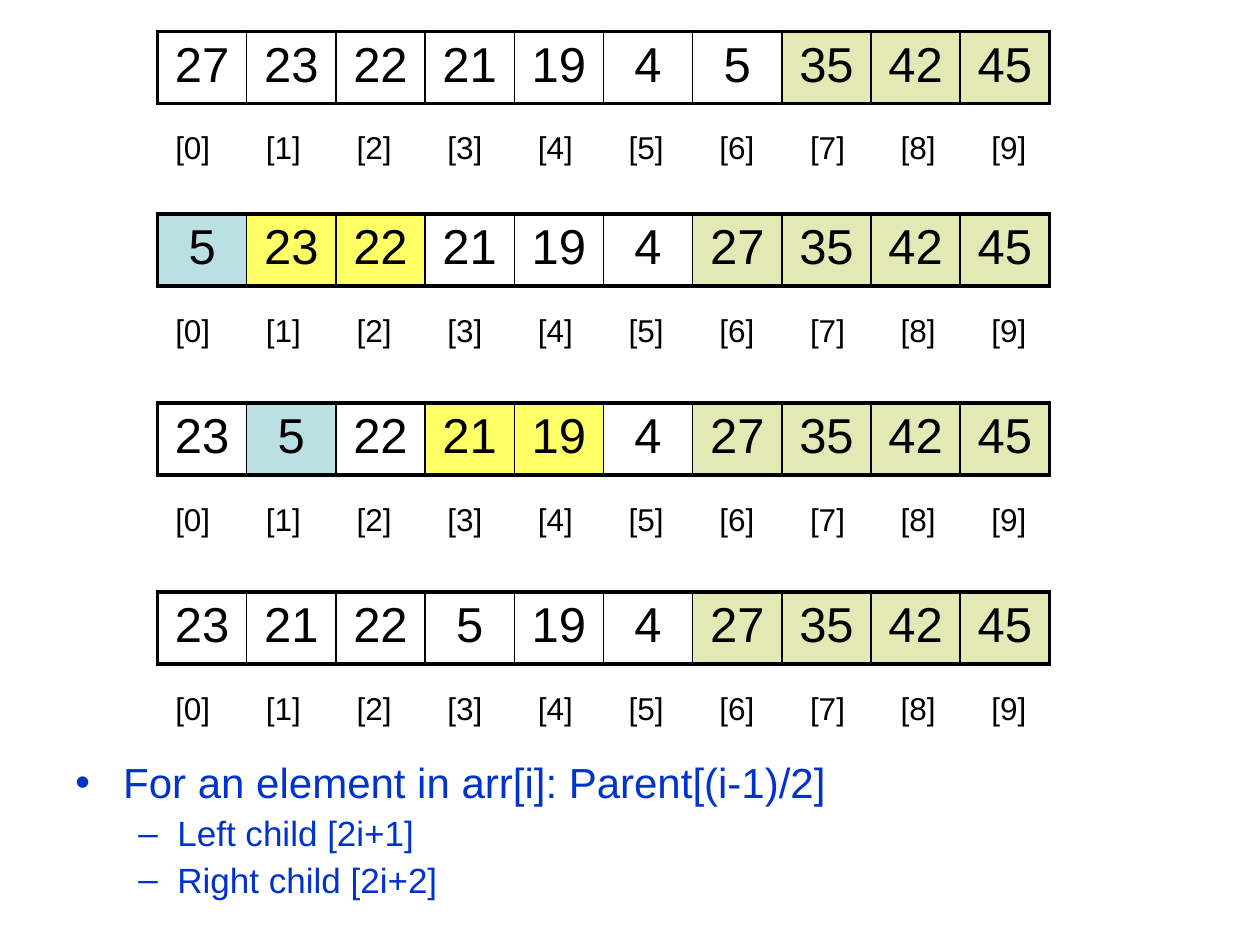
"""Build a slide that traces heap sort on an array of ten numbers."""
import pptx
import pptx.dml.color
import pptx.enum.text
import pptx.oxml
import pptx.oxml.ns
import pptx.util
from lxml import etree

Inches, Pt = pptx.util.Inches, pptx.util.Pt
RGB = pptx.dml.color.RGBColor.from_string
qn = pptx.oxml.ns.qn
align = pptx.enum.text.PP_ALIGN
anchor = pptx.enum.text.MSO_ANCHOR

colors = {
    "ink": "000000",
    "blue": "0033CC",
    "sorted": "E2E9B5",
    "moved": "BBE0E3",
    "child": "FFFF66",
}


def style(font, size, color):
    values = {"name": "Arial", "size": Pt(size), "bold": False}
    for key, value in values.items():
        setattr(font, key, value)
    font.color.rgb = RGB(colors[color])


def grid(place, texts, size, fills, edges, middle):
    table = slide.shapes.add_table(1, len(texts), *map(Inches, place)).table
    table.first_row = table.horz_banding = False
    last = len(texts) - 1
    for col, text in enumerate(texts):
        cell = table.cell(0, col)
        cell.text = str(text)
        cell.vertical_anchor = anchor.MIDDLE if middle else anchor.TOP
        para = cell.text_frame.paragraphs[0]
        para.alignment = align.CENTER
        style(para.runs[0].font, size, "ink")
        props = cell._tc.get_or_add_tcPr()
        sides = {
            "lnL": 2.25 if col == 0 else 1,
            "lnR": 2.25 if col == last else 1,
            "lnT": 2.25,
            "lnB": 2.25,
        }
        for side, width in sides.items():
            line = etree.SubElement(props, qn("a:" + side))
            if edges:
                line.set("w", str(Pt(width)))
                paint = etree.SubElement(line, qn("a:solidFill"))
                etree.SubElement(paint, qn("a:srgbClr"), val=colors["ink"])
            else:
                etree.SubElement(line, qn("a:noFill"))
        if col in fills:
            cell.fill.solid()
            cell.fill.fore_color.rgb = RGB(colors[fills[col]])
        else:
            cell.fill.background()


deck = pptx.Presentation()
deck.slide_width, deck.slide_height = Inches(10), Inches(7.5)
slide = deck.slides.add_slide(deck.slide_layouts[6])

steps = [
    (0.25, [27, 23, 22, 21, 19, 4, 5, 35, 42, 45], 7, {}),
    (1.7, [5, 23, 22, 21, 19, 4, 27, 35, 42, 45], 6,
     {0: "moved", 1: "child", 2: "child"}),
    (3.2, [23, 5, 22, 21, 19, 4, 27, 35, 42, 45], 6,
     {1: "moved", 3: "child", 4: "child"}),
    (4.7, [23, 21, 22, 5, 19, 4, 27, 35, 42, 45], 6, {}),
]
for top, items, start, marks in steps:
    fills = marks | {col: "sorted" for col in range(start, len(items))}
    labels = [f"[{col}]" for col in range(len(items))]
    grid((1.25, top, 7.08, 0.57), items, 28, fills, True, False)
    grid((1.17, top + 0.73, 7.2, 0.4), labels, 18, {}, False, True)

rules = [
    ("For an element in arr[i]: Parent[(i-1)/2]", 0, "•", 24, 0.38, 0.38, 0),
    ("Left child [2i+1]", 1, "–", 20, 0.81, 0.31, 5),
    ("Right child [2i+2]", 1, "–", 20, 0.81, 0.31, 5),
]
box = slide.shapes.add_textbox(Inches(0.5), Inches(6), Inches(9), Inches(1.25))
frame = box.text_frame
frame.word_wrap = True
for row, (text, level, mark, size, left, hang, gap) in enumerate(rules):
    para = frame.add_paragraph() if row else frame.paragraphs[0]
    props = para._p.get_or_add_pPr()
    props.set("marL", str(Inches(left)))
    props.set("indent", str(-Inches(hang)))
    etree.SubElement(props, qn("a:buFont"), typeface="Arial")
    etree.SubElement(props, qn("a:buChar"), char=mark)
    values = {"text": text, "level": level, "line_spacing": 0.9,
              "space_before": Pt(gap)}
    for key, value in values.items():
        setattr(para, key, value)
    style(para.runs[0].font, size, "blue")

deck.save("out.pptx")
